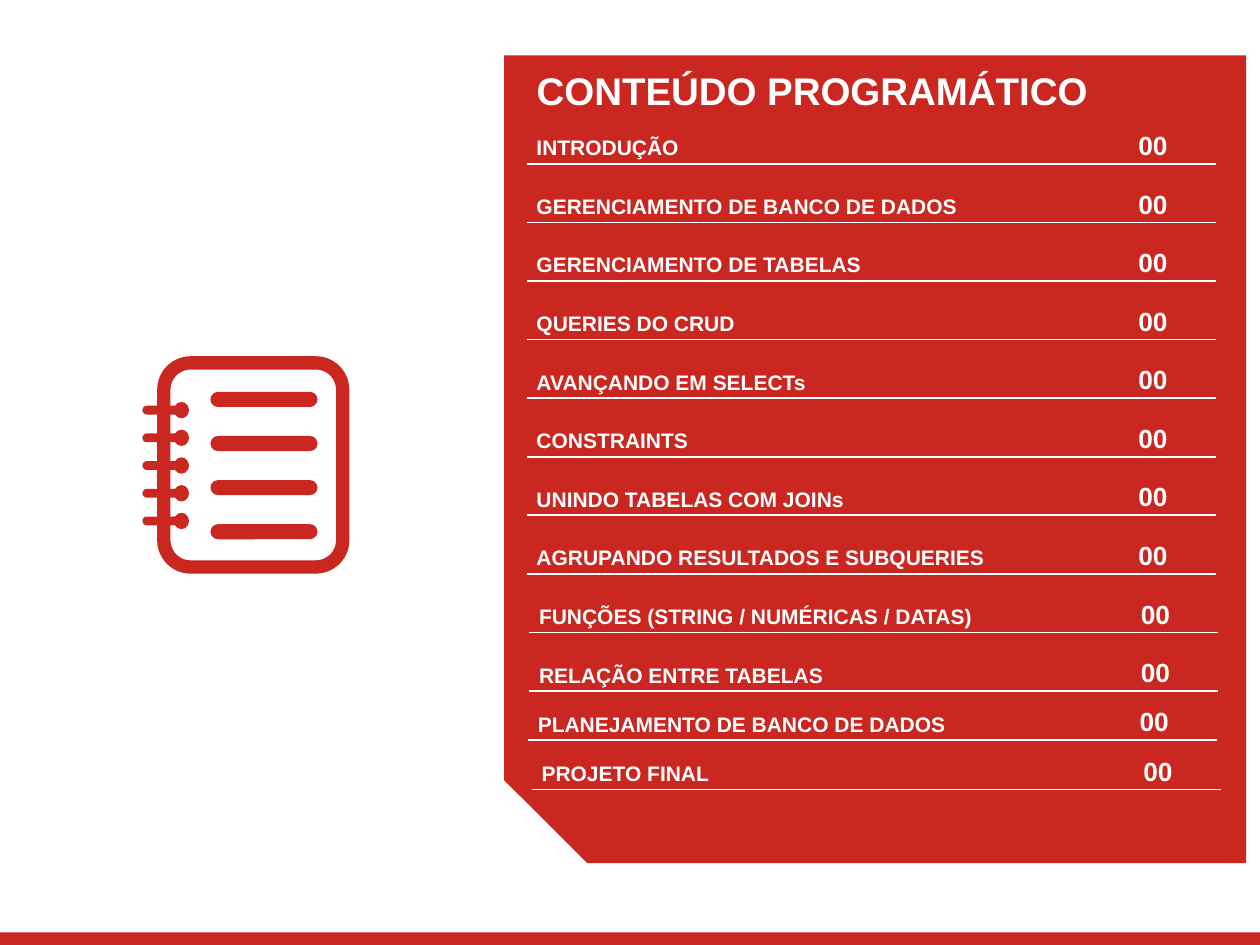
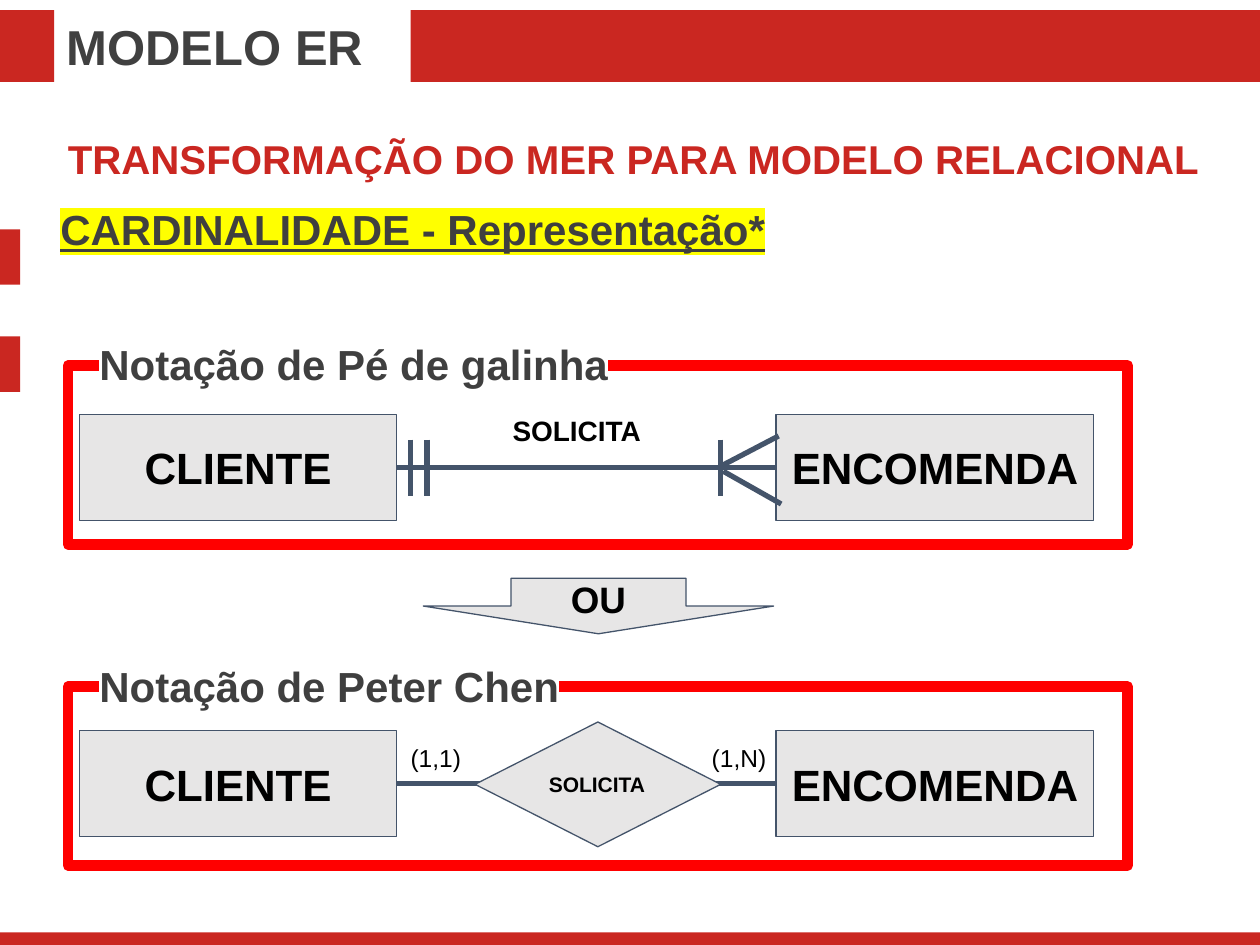
import pptx
import pptx.dml.color
import pptx.enum.dml
import pptx.enum.shapes
import pptx.enum.text
import pptx.oxml
import pptx.oxml.ns
import pptx.util

Inches = pptx.util.Inches
Pt = pptx.util.Pt
Shape = pptx.enum.shapes.MSO_SHAPE
Align = pptx.enum.text.PP_ALIGN
Anchor = pptx.enum.text.MSO_ANCHOR

RED = "CA2721"
FRAME_RED = "FF0000"
WHITE = "FFFFFF"
BLACK = "000000"
GREY = "E7E6E6"
SLATE = "44546A"
TITLE_GREY = "404040"
HEADING_GREY = "3F3F3F"
YELLOW = "FFFF00"
FONT = "Arial"
LEFT_SIDE, RIGHT_SIDE = 1, 3

TOPICS = [
    "INTRODUÇÃO",
    "GERENCIAMENTO DE BANCO DE DADOS",
    "GERENCIAMENTO DE TABELAS",
    "QUERIES DO CRUD",
    "AVANÇANDO EM SELECTs",
    "CONSTRAINTS",
    "UNINDO TABELAS COM JOINs",
    "AGRUPANDO RESULTADOS E SUBQUERIES",
    "FUNÇÕES (STRING / NUMÉRICAS / DATAS)",
    "RELAÇÃO ENTRE TABELAS",
    "PLANEJAMENTO DE BANCO DE DADOS",
    "PROJETO FINAL",
]
TOPIC_SHIFTS = [0] * 8 + [0.02, 0.02, 0.01, 0.04]
WIDE_ROWS = 10


def color(hex_code):
    return pptx.dml.color.RGBColor.from_string(hex_code)


def highlight(span, hex_code):
    mark = pptx.oxml.parse_xml(
        f'<a:highlight {pptx.oxml.ns.nsdecls("a")}>'
        f'<a:srgbClr val="{hex_code}"/></a:highlight>'
    )
    fill = span.font._element.find(pptx.oxml.ns.qn("a:solidFill"))
    fill.addnext(mark)


def write(box, text, size, hex_code, bold=True, align=Align.LEFT,
          anchor=Anchor.TOP, inset=0.05, underline=None, marker=None):
    """Put one formatted run in the box; inset is the top and bottom margin."""
    frame = box.text_frame
    frame.word_wrap = True
    frame.auto_size = pptx.enum.text.MSO_AUTO_SIZE.NONE
    frame.vertical_anchor = anchor
    frame.margin_left = frame.margin_right = Inches(0.1)
    frame.margin_top = frame.margin_bottom = Inches(inset)
    para = frame.paragraphs[0]
    para.alignment = align
    span = para.add_run()
    span.text = text
    span.font.size = Pt(size)
    span.font.bold = bold
    span.font.underline = underline
    span.font.color.rgb = color(hex_code)
    span.font.name = FONT
    if marker:
        highlight(span, marker)


def add_text(page, left, top, width, height, text, size, hex_code, **style):
    box = page.shapes.add_textbox(
        Inches(left), Inches(top), Inches(width), Inches(height))
    write(box, text, size, hex_code, **style)


def add_shape(page, kind, left, top, width, height, fill=None, line=None,
              weight=0.75, adjust=()):
    shape = page.shapes.add_shape(
        kind, Inches(left), Inches(top), Inches(width), Inches(height))
    shape.shadow.inherit = False
    for index, value in enumerate(adjust):
        shape.adjustments[index] = value
    if fill:
        shape.fill.solid()
        shape.fill.fore_color.rgb = color(fill)
    else:
        shape.fill.background()
    if line:
        shape.line.color.rgb = color(line)
        shape.line.width = Pt(weight)
    else:
        shape.line.fill.background()
    return shape


def add_line(page, start, end, hex_code, weight):
    line = page.shapes.add_connector(
        pptx.enum.shapes.MSO_CONNECTOR.STRAIGHT,
        *(Inches(value) for value in (*start, *end)))
    line.line.color.rgb = color(hex_code)
    line.line.width = Pt(weight)
    properties = line._element.spPr
    properties.append(pptx.oxml.parse_xml(
        f'<a:effectLst {pptx.oxml.ns.nsdecls("a")}/>'))
    return line


def add_band(page, left, top, width, height):
    add_shape(page, Shape.RECTANGLE, left, top, width, height, fill=RED)


def add_page(deck):
    page = deck.slides.add_slide(deck.slide_layouts[5])
    add_band(page, 0, 7.4, 10, 0.1)
    return page


def place_title(page, left, top, width, height, text, size, hex_code):
    """Fill the title placeholder and bring it in front of what is drawn."""
    title = page.shapes.title
    title.left, title.top = Inches(left), Inches(top)
    title.width, title.height = Inches(width), Inches(height)
    write(title, text, size, hex_code)
    tree = title._element.getparent()
    tree.append(title._element)


def add_topic(page, shift, rule_y, topic):
    add_text(page, 4.16 + shift, rule_y - 0.28, 4.84, 0.28, topic, 12, WHITE)
    add_text(page, 8.91 + shift, rule_y - 0.31, 0.48, 0.32, "00", 15, WHITE,
             align=Align.CENTER, anchor=Anchor.MIDDLE)
    add_line(page, (4.18 + shift, rule_y), (9.65 + shift, rule_y), WHITE, 1)


def add_notebook(page):
    add_shape(page, Shape.ROUNDED_RECTANGLE, 1.3, 2.88, 1.42, 1.62,
              line=RED, weight=7.6, adjust=[0.15])
    for ring in range(5):
        middle = 3.25 + 0.22 * ring
        add_shape(page, Shape.ROUNDED_RECTANGLE, 1.13, middle - 0.03,
                  0.31, 0.07, fill=RED, adjust=[0.5])
        add_shape(page, Shape.OVAL, 1.38, middle - 0.06, 0.12, 0.13, fill=RED)
    for text_line in range(4):
        add_shape(page, Shape.ROUNDED_RECTANGLE, 1.67, 3.11 + 0.35 * text_line,
                  0.85, 0.12, fill=RED, adjust=[0.5])


def add_node(page, kind, left, top, width, height, text, size,
             align=Align.CENTER):
    node = add_shape(page, kind, left, top, width, height,
                     fill=GREY, line=SLATE)
    write(node, text, size, BLACK, align=align, anchor=Anchor.MIDDLE,
          inset=0.1)
    return node


def add_notation(page, frame_top, entity_top, heading, heading_top):
    """Frame with its heading and the two joined entities."""
    add_shape(page, Shape.RECTANGLE, 0.54, frame_top, 8.41, 1.42,
              line=FRAME_RED, weight=6)
    add_text(page, 0.69, heading_top, 6.43, 0.61, heading, 24, HEADING_GREY,
             align=Align.JUSTIFY, inset=0.1, marker=WHITE)
    client, order = (
        add_node(page, Shape.RECTANGLE, left, entity_top, 2.52, 0.84, name, 25)
        for left, name in ((0.63, "CLIENTE"), (6.16, "ENCOMENDA")))
    middle = entity_top + 0.42
    relation = add_line(page, (3.15, middle), (6.16, middle), SLATE, 3)
    relation.begin_connect(client, RIGHT_SIDE)
    relation.end_connect(order, LEFT_SIDE)


def add_crows_foot(page):
    for left in (3.26, 3.39, 5.72):
        add_line(page, (left, 3.49), (left, 3.94), SLATE, 3)
    add_line(page, (5.74, 3.69), (6.18, 3.46), SLATE, 3)
    add_line(page, (6.2, 4), (5.74, 3.74), SLATE, 3)


def build_contents(deck):
    page = add_page(deck)
    panel = add_shape(page, Shape.SNIP_1_RECTANGLE, 4, 0.44, 5.89, 6.41,
                      fill=RED, adjust=[0.112])
    panel.rotation = 180
    place_title(page, 4.16, 0.48, 4.86, 0.86, "CONTEÚDO PROGRAMÁTICO",
                22, WHITE)
    rule_y = 1.3
    for row, (topic, shift) in enumerate(zip(TOPICS, TOPIC_SHIFTS), start=1):
        add_topic(page, shift, rule_y, topic)
        rule_y += 0.465 if row < WIDE_ROWS else 0.39
    add_notebook(page)


def build_er_model(deck):
    page = add_page(deck)
    place_title(page, 0.43, 0.08, 2.83, 0.57, "MODELO ER", 28, TITLE_GREY)
    add_band(page, 0, 0.08, 0.43, 0.57)
    add_band(page, 3.26, 0.08, 6.74, 0.57)
    for top in (1.82, 2.67):
        add_band(page, 0, top, 0.16, 0.44)
    add_text(page, 0.44, 1.02, 9.37, 0.5,
             "TRANSFORMAÇÃO DO MER PARA MODELO RELACIONAL", 23, RED)
    add_text(page, 0.38, 1.57, 9.12, 0.5, "CARDINALIDADE - Representação*",
             24, HEADING_GREY, align=Align.JUSTIFY, underline=True,
             marker=YELLOW)

    add_notation(page, 2.9, 3.29, "Notação de Pé de galinha", 2.59)
    add_crows_foot(page)
    add_text(page, 3.97, 3.18, 1.38, 0.47, "SOLICITA", 16, BLACK, inset=0.1)

    add_node(page, Shape.DOWN_ARROW, 3.36, 4.59, 2.78, 0.44, "OU", 21)

    add_notation(page, 5.45, 5.8, "Notação de Peter Chen", 5.14)
    for left, width, cardinality in ((3.16, 0.61, "(1,1)"),
                                     (5.55, 0.71, "(1,N)")):
        add_text(page, left, 5.8, width, 0.44, cardinality, 14, BLACK,
                 bold=False, inset=0.1)
    add_node(page, Shape.DIAMOND, 3.77, 5.73, 1.95, 0.99, "SOLICITA", 12,
             align=Align.LEFT)


def main():
    deck = pptx.Presentation()
    deck.slide_width, deck.slide_height = Inches(10), Inches(7.5)
    build_contents(deck)
    build_er_model(deck)
    deck.save("out.pptx")


if __name__ == "__main__":
    main()
